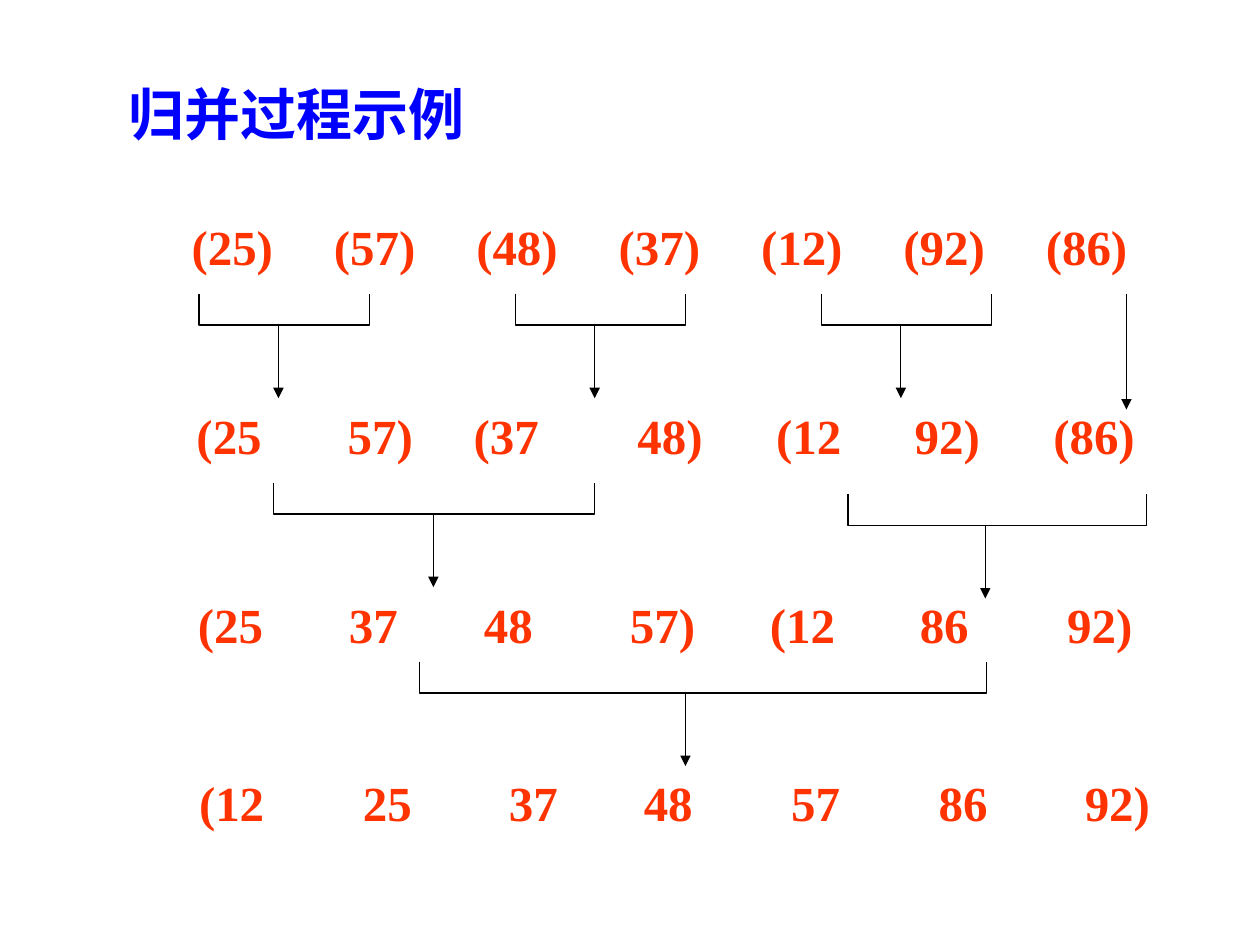
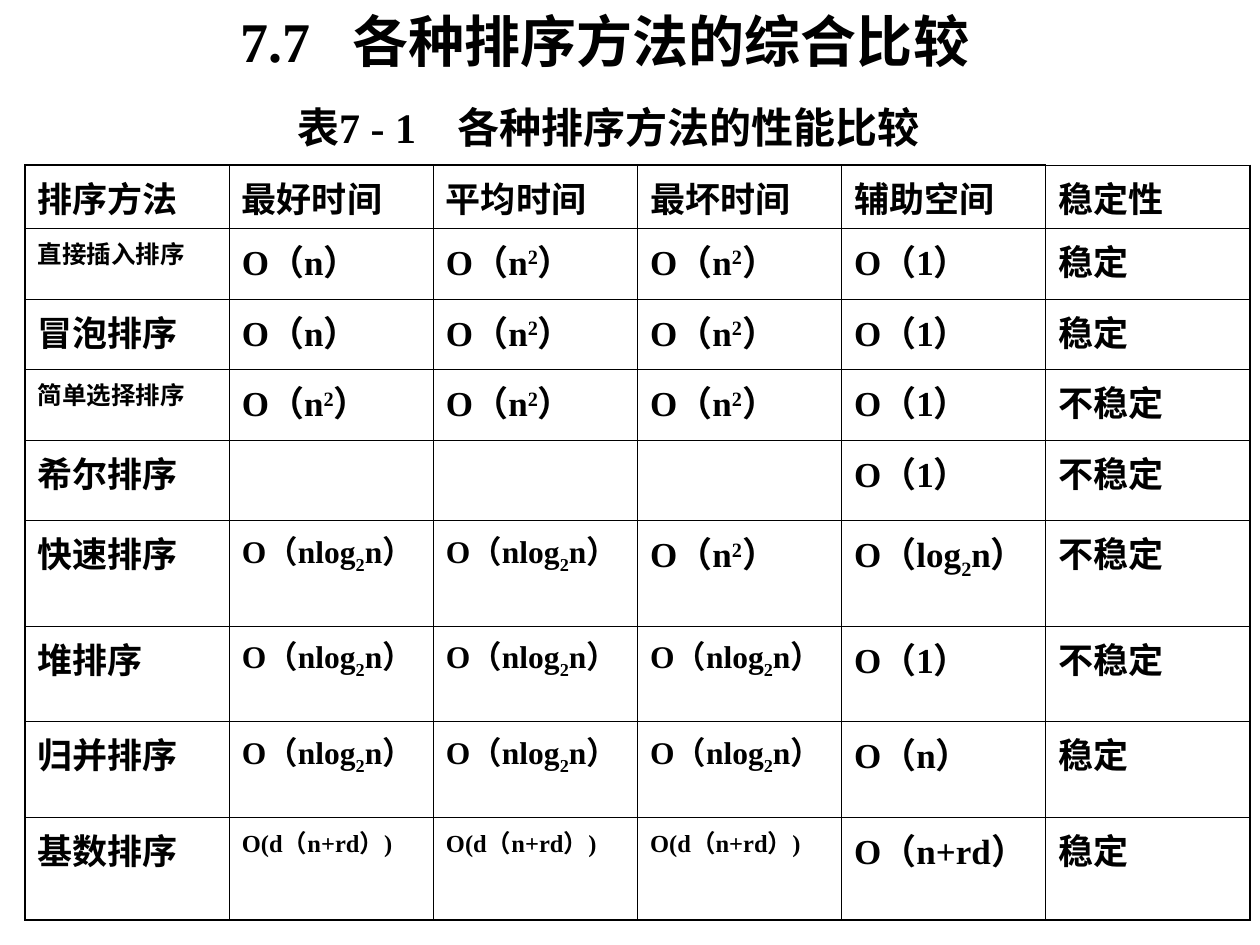
"""Build two slides: a merge sort walk-through and a comparison of sorting methods."""
from dataclasses import dataclass

from lxml.etree import SubElement
from pptx import Presentation
from pptx.dml.color import RGBColor
from pptx.enum.lang import MSO_LANGUAGE_ID as Language
from pptx.enum.shapes import MSO_CONNECTOR as Connector
from pptx.enum.text import MSO_ANCHOR as Anchor, MSO_AUTO_SIZE as AutoSize, PP_ALIGN as Align
from pptx.oxml.ns import qn
from pptx.util import Inches, Pt

COLORS = {"ink": "000000", "heading": "0000FF", "number": "FF3300"}
FONT = "Times New Roman"
TITLE_SIZE = 32
NUMBER_SIZE = 28
BRACKET_DEPTH = 0.25
ARROW_LENGTH = 0.58
THIN, THICK = 0.45, 1.08
SCRIPTS = {"²": 30000, "₂": -25000}


@dataclass
class Box:
    left: float
    top: float
    width: float
    height: float

    def lengths(self) -> list:
        return [Inches(n) for n in (self.left, self.top, self.width, self.height)]


@dataclass
class NumberRow:
    groups: str
    box: Box
    indent: float
    stops: list[float]


@dataclass
class Merge:
    left: float
    top: float
    width: float
    arrow_offset: float


NUMBER_ROWS = [
    NumberRow("(25) (57) (48) (37) (12) (92) (86)", Box(1, 1.67, 8.49, 0.57), 0.52,
              [1.13 * step for step in range(1, 7)]),
    NumberRow("(25 57) (37 48) (12 92) (86)", Box(1.08, 3.17, 8.4, 0.57), 0.48,
              [1.2, 2.2, 3.5, 4.6, 5.7, 6.8]),
    NumberRow("(25 37 48 57) (12 86 92)", Box(1.08, 4.67, 8.4, 0.57), 0.49,
              [1.2, 2.27, 3.43, 4.54, 5.73, 6.9]),
    NumberRow("(12 25 37 48 57 86 92)", Box(1.08, 6.08, 8.56, 0.57), 0.5,
              [1.3, 2.46, 3.53, 4.7, 5.87, 7.03]),
]
MERGES = [Merge(left, 2.33, 1.35, 0.63) for left in (1.58, 4.09, 6.52)] + [
    Merge(2.17, 3.83, 2.55, 1.27),
    Merge(6.73, 3.92, 2.37, 1.09),
    Merge(3.33, 5.25, 4.5, 2.11),
]

CONST, LINEAR, SQUARE, NLOGN = "O（1）", "O（n）", "O（n²）", "O（nlog₂n）"
RADIX = "O(d（n+rd）)"
STABLE, UNSTABLE = "稳定", "不稳定"
METHODS = [
    ["排序方法", "最好时间", "平均时间", "最坏时间", "辅助空间", "稳定性"],
    ["直接插入排序", LINEAR, SQUARE, SQUARE, CONST, STABLE],
    ["冒泡排序", LINEAR, SQUARE, SQUARE, CONST, STABLE],
    ["简单选择排序", SQUARE, SQUARE, SQUARE, CONST, UNSTABLE],
    ["希尔排序", "", "", "", CONST, UNSTABLE],
    ["快速排序", NLOGN, NLOGN, SQUARE, "O（log₂n）", UNSTABLE],
    ["堆排序", NLOGN, NLOGN, NLOGN, CONST, UNSTABLE],
    ["归并排序", NLOGN, NLOGN, NLOGN, LINEAR, STABLE],
    ["基数排序", RADIX, RADIX, RADIX, "O（n+rd）", STABLE],
]
ROW_HEIGHTS = [0.49, 0.56, 0.56, 0.56, 0.64, 0.81, 0.74, 0.74, 0.8]
COLUMN_WIDTH = 1.62
CELL_SIZE = 20
SMALLER = {NLOGN: 18, RADIX: 14, "直接插入排序": 14, "简单选择排序": 14}


def rgb(color: str) -> RGBColor:
    return RGBColor.from_string(COLORS[color])


def style_runs(paragraph, size: float, color: str) -> None:
    for run in paragraph.runs:
        run.font.name = FONT
        run.font.size = Pt(size)
        run.font.bold = True
        run.font.color.rgb = rgb(color)
        run.font.language_id = Language.SIMPLIFIED_CHINESE


def set_tabs(paragraph, stops: list[float]) -> None:
    tabs = SubElement(paragraph._p.get_or_add_pPr(), qn("a:tabLst"))
    for stop in stops:
        SubElement(tabs, qn("a:tab"), pos=str(Inches(stop)), algn="l")


def write_line(shape, text: str, size: float, color: str, stops: list[float]) -> None:
    frame = shape.text_frame
    frame.text = text
    frame.word_wrap = True
    frame.auto_size = AutoSize.NONE
    frame.vertical_anchor = Anchor.TOP
    line = frame.paragraphs[0]
    line.alignment = Align.LEFT
    if stops:
        set_tabs(line, stops)
    style_runs(line, size, color)


def add_titled_slide(deck, title: str, box: Box, color: str, stops: list[float]):
    slide = deck.slides.add_slide(deck.slide_layouts[5])
    heading = slide.shapes.title
    heading.left, heading.top, heading.width, heading.height = box.lengths()
    write_line(heading, title, TITLE_SIZE, color, stops)
    return slide


def add_text_line(slide, box: Box, text: str, size: float, color: str, stops: list[float]):
    line_box = slide.shapes.add_textbox(*box.lengths())
    write_line(line_box, text, size, color, stops)
    return line_box


def add_arrow(slide, x: float, top: float, bottom: float) -> None:
    arrow = slide.shapes.add_connector(
        Connector.STRAIGHT, Inches(x), Inches(top), Inches(x), Inches(bottom))
    arrow.line.color.rgb = rgb("ink")
    arrow.line.width = Pt(0.75)
    SubElement(arrow.line._get_or_add_ln(), qn("a:tailEnd"), type="triangle")
    SubElement(arrow._element.spPr, qn("a:effectLst"))


def add_merge(slide, merge: Merge) -> None:
    bottom = merge.top + BRACKET_DEPTH
    right = merge.left + merge.width
    outline = slide.shapes.build_freeform(Inches(merge.left), Inches(merge.top))
    corners = [(merge.left, bottom), (right, bottom), (right, merge.top)]
    outline.add_line_segments([(Inches(x), Inches(y)) for x, y in corners], close=False)
    bracket = outline.convert_to_shape()
    bracket.shadow.inherit = False
    bracket.fill.background()
    bracket.line.color.rgb = rgb("ink")
    bracket.line.width = Pt(0.75)
    add_arrow(slide, merge.left + merge.arrow_offset, bottom, bottom + ARROW_LENGTH)


def write_cell(cell, text: str) -> None:
    size = SMALLER.get(text, CELL_SIZE)
    paragraph = cell.text_frame.paragraphs[0]
    paragraph.space_before = Pt(size / 4)
    mark = next((sign for sign in SCRIPTS if sign in text), None)
    if mark is None:
        paragraph.text = text
    else:
        before, _, after = text.partition(mark)
        for part in (before, "2", after):
            paragraph.add_run().text = part
        paragraph.runs[1].font._element.set("baseline", str(SCRIPTS[mark]))
    style_runs(paragraph, size, "ink")


def set_borders(cell, thick_sides: dict[str, bool]) -> None:
    properties = cell._tc.get_or_add_tcPr()
    for side, thick in thick_sides.items():
        width = Pt(THICK if thick else THIN)
        border = SubElement(properties, qn(f"a:ln{side}"), w=str(width))
        SubElement(SubElement(border, qn("a:solidFill")), qn("a:srgbClr"), val=COLORS["ink"])


def add_method_table(slide) -> None:
    last_row, last_column = len(METHODS) - 1, len(METHODS[0]) - 1
    box = Box(0.2, 1.31, COLUMN_WIDTH * len(METHODS[0]), sum(ROW_HEIGHTS))
    table = slide.shapes.add_table(len(METHODS), len(METHODS[0]), *box.lengths()).table
    table.first_row = table.horz_banding = False
    for column in table.columns:
        column.width = Inches(COLUMN_WIDTH)
    for r, (method, height) in enumerate(zip(METHODS, ROW_HEIGHTS)):
        table.rows[r].height = Inches(height)
        for c, text in enumerate(method):
            cell = table.cell(r, c)
            write_cell(cell, text)
            set_borders(cell, {"L": c == 0, "R": c == last_column,
                               "T": r == 0 and c < last_column, "B": r == last_row})
            cell.fill.background()


def build_merge_slide(deck) -> None:
    slide = add_titled_slide(deck, "归并过程示例", Box(0.92, 0.58, 7.83, 0.64), "heading", [])
    for row in NUMBER_ROWS:
        numbers = add_text_line(slide, row.box, "\t".join(row.groups.split()),
                                NUMBER_SIZE, "number", row.stops)
        numbers.text_frame.margin_left = Inches(row.indent)
    for merge in MERGES:
        add_merge(slide, merge)
    add_arrow(slide, 8.94, 2.33, 3.25)


def build_comparison_slide(deck) -> None:
    slide = add_titled_slide(deck, "7.7\t各种排序方法的综合比较",
                             Box(1.81, 0, 6.08, 0.64), "ink", [0.89])
    add_text_line(slide, Box(2.26, 0.76, 5.21, 0.5), "表7 - 1\t各种排序方法的性能比较",
                  24, "ink", [1.27])
    add_method_table(slide)


def main() -> None:
    deck = Presentation()
    deck.slide_width, deck.slide_height = Inches(10), Inches(7.5)
    build_merge_slide(deck)
    build_comparison_slide(deck)
    deck.save("out.pptx")


if __name__ == "__main__":
    main()
